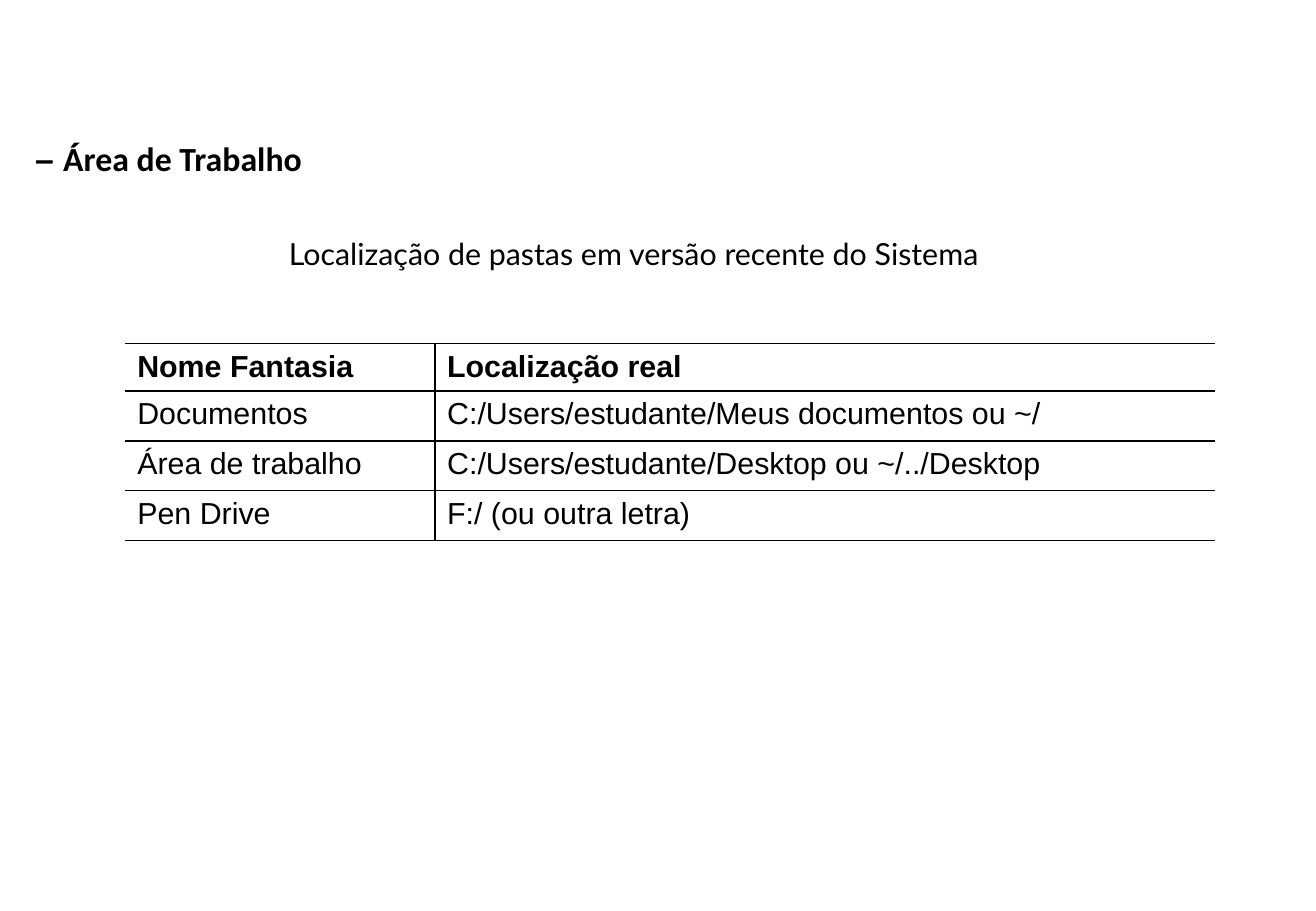
"""Build the slide that lists where the work area folders are located."""
from dataclasses import dataclass

import lxml.etree
import pptx
import pptx.dml.color
import pptx.enum.text
import pptx.oxml.ns
import pptx.slide
import pptx.table
import pptx.util

Inches = pptx.util.Inches
Pt = pptx.util.Pt
COLORS = {"text": "000000", "line": "000000", "background": "FFFFFF"}
BORDER_WIDTH = Pt(1)
COLUMN_WIDTHS = (2.55, 6.42)
ROW_HEIGHTS = (0.39, 0.41, 0.41, 0.41)
FOLDERS = (
    ("Nome Fantasia", "Localização real"),
    ("Documentos", "C:/Users/estudante/Meus documentos ou ~/"),
    ("Área de trabalho", "C:/Users/estudante/Desktop ou ~/../Desktop"),
    ("Pen Drive", "F:/ (ou outra letra)"),
)


@dataclass
class Label:
    runs: tuple[tuple[str, str], ...]
    left: float
    top: float
    width: float
    height: float
    size: int
    bold: bool
    anchor: pptx.enum.text.MSO_ANCHOR


LABELS = (
    Label((("– ", "Arial"), ("Área de Trabalho", "Calibri")),
          0.19, 1.05, 10.64, 0.5, 20, True, pptx.enum.text.MSO_ANCHOR.MIDDLE),
    Label((("Localização de pastas em versão recente do Sistema", "Lato"),),
          2.28, 1.89, 6.53, 0.4, 18, False, pptx.enum.text.MSO_ANCHOR.TOP),
)


def color(name: str) -> pptx.dml.color.RGBColor:
    return pptx.dml.color.RGBColor.from_string(COLORS[name])


def add_label(slide: pptx.slide.Slide, label: Label) -> None:
    shape = slide.shapes.add_textbox(
        Inches(label.left), Inches(label.top), Inches(label.width), Inches(label.height))
    frame = shape.text_frame
    frame.word_wrap = True
    frame.vertical_anchor = label.anchor
    paragraph = frame.paragraphs[0]
    paragraph.font.size = Pt(label.size)
    paragraph.font.bold = label.bold
    paragraph.font.color.rgb = color("text")
    for text, font_name in label.runs:
        run = paragraph.add_run()
        run.text = text
        run.font.name = font_name


def set_borders(cell: pptx.table._Cell, visible_sides: str) -> None:
    properties = cell._tc.get_or_add_tcPr()
    qualified = pptx.oxml.ns.qn
    for position, side in enumerate("LRTB"):
        line = lxml.etree.Element(qualified(f"a:ln{side}"), w=str(BORDER_WIDTH))
        if side in visible_sides:
            fill = lxml.etree.SubElement(line, qualified("a:solidFill"))
            lxml.etree.SubElement(fill, qualified("a:srgbClr"), val=COLORS["line"])
        else:
            lxml.etree.SubElement(line, qualified("a:noFill"))
        properties.insert(position, line)


def add_folder_table(slide: pptx.slide.Slide) -> None:
    table = slide.shapes.add_table(
        len(FOLDERS), len(COLUMN_WIDTHS), Inches(1.03), Inches(2.83),
        Inches(sum(COLUMN_WIDTHS)), Inches(sum(ROW_HEIGHTS))).table
    table.first_row = table.horz_banding = False
    for column, width in zip(table.columns, COLUMN_WIDTHS):
        column.width = Inches(width)
    for row_index, (row, height) in enumerate(zip(table.rows, ROW_HEIGHTS)):
        row.height = Inches(height)
        for column_index, cell in enumerate(row.cells):
            cell.text = FOLDERS[row_index][column_index]
            cell.fill.solid()
            cell.fill.fore_color.rgb = color("background")
            font = cell.text_frame.paragraphs[0].font
            font.name = "Arial"
            font.size = Pt(18)
            font.bold = row_index == 0
            font.color.rgb = color("text")
            set_borders(cell, "RTB" if column_index == 0 else "LTB")


def main() -> None:
    presentation = pptx.Presentation()
    presentation.slide_width = Inches(10.83)
    presentation.slide_height = Inches(7.5)
    slide = presentation.slides.add_slide(presentation.slide_layouts[6])
    add_folder_table(slide)
    for label in LABELS:
        add_label(slide, label)
    presentation.save("out.pptx")


main()
